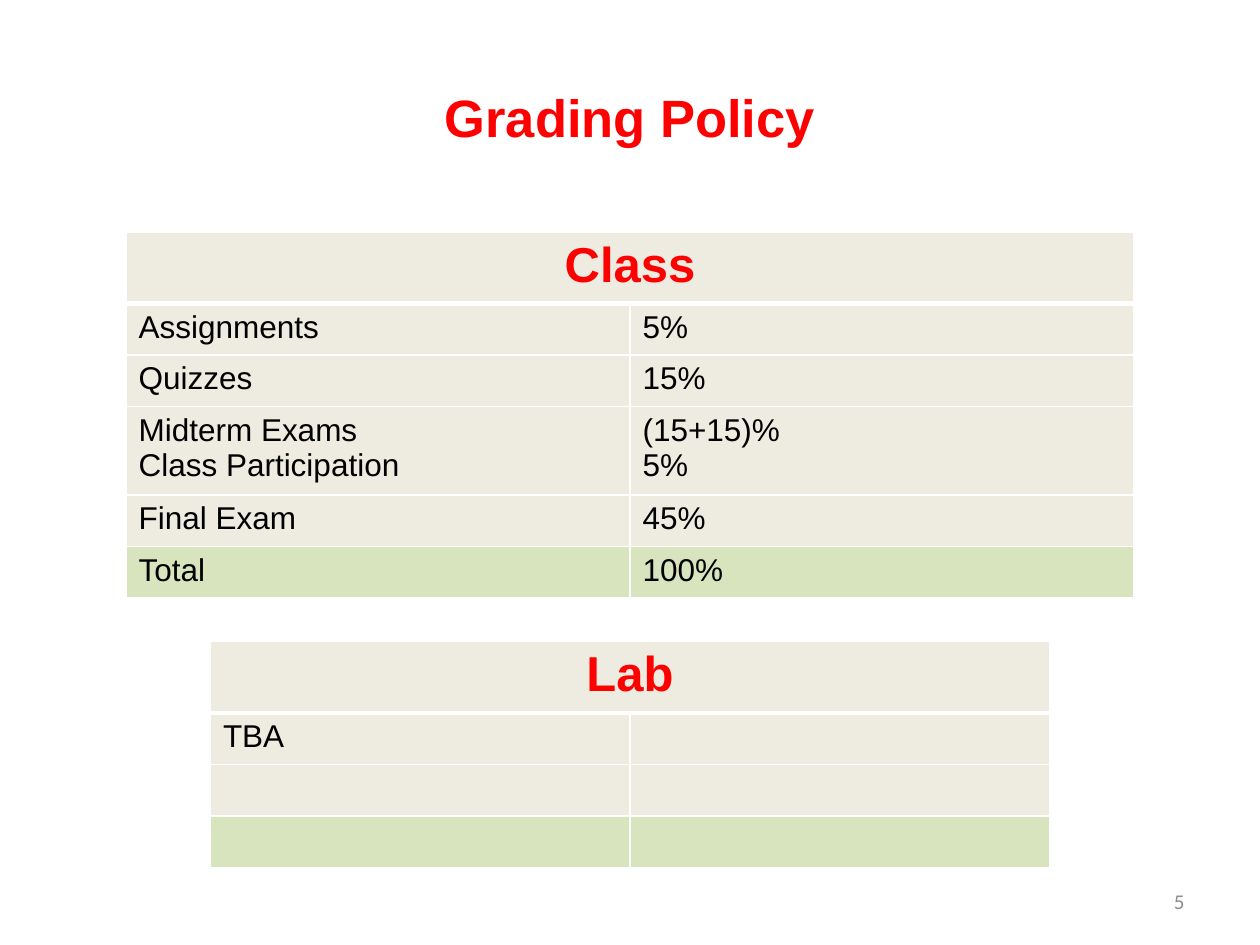
from dataclasses import dataclass

from lxml.etree import SubElement
from pptx import Presentation
from pptx.dml.color import RGBColor
from pptx.enum.text import MSO_ANCHOR, PP_ALIGN
from pptx.oxml.ns import qn
from pptx.util import Inches, Pt


@dataclass(frozen=True)
class Theme:
    red: str = "FF0000"
    black: str = "000000"
    grey: str = "8C8C8C"
    white: str = "FFFFFF"
    cream: str = "EEECE1"
    green: str = "D7E4BD"
    font: str = "Arial"
    number_font: str = "Calibri"
    title: int = 30
    heading: int = 28
    body: int = 18
    number: int = 12
    rule: int = 1
    heading_rule: int = 3


THEME = Theme()
HEADING_HEIGHT, LINE_HEIGHT, EXTRA_LINE = 0.53, 0.41, 0.25

TITLE = "Grading Policy"
PAGE_NUMBER = "5"
TABLES = [
    {
        "heading": "Class", "left": 1, "top": 1.84, "width": 8,
        "rows": [
            ("Assignments", "5%"),
            ("Quizzes", "15%"),
            ("Midterm Exams\nClass Participation", "(15+15)%\n5%"),
            ("Final Exam", "45%"),
            ("Total", "100%"),
        ],
    },
    {
        "heading": "Lab", "left": 1.67, "top": 5.09, "width": 6.66,
        "rows": [("TBA", ""), ("", ""), ("", "")],
    },
]


def write(frame, text, size, color, font=THEME.font, bold=False, align=PP_ALIGN.LEFT):
    frame.text = text
    for para in frame.paragraphs:
        para.alignment = align
        para.font.name = font
        para.font.size = Pt(size)
        para.font.bold = bold
        para.font.color.rgb = RGBColor.from_string(color)


def add_text(page, left, top, width, height, text, size, color, **style):
    box = page.shapes.add_textbox(Inches(left), Inches(top), Inches(width), Inches(height))
    box.text_frame.word_wrap = True
    box.text_frame.vertical_anchor = MSO_ANCHOR.MIDDLE
    write(box.text_frame, text, size, color, **style)


def style_cell(cell, fill, top_rule, bottom_rule):
    properties = cell._tc.get_or_add_tcPr()
    rules = {"L": THEME.rule, "R": THEME.rule, "T": top_rule, "B": bottom_rule}
    for side, width in rules.items():
        line = SubElement(properties, qn(f"a:ln{side}"), w=str(Pt(width)))
        SubElement(SubElement(line, qn("a:solidFill")), qn("a:srgbClr"), val=THEME.white)
    cell.fill.solid()
    cell.fill.fore_color.rgb = RGBColor.from_string(fill)


def add_grades(page, heading, left, top, width, rows):
    heights = [HEADING_HEIGHT] + [LINE_HEIGHT + EXTRA_LINE * row[0].count("\n") for row in rows]
    table = page.shapes.add_table(
        len(heights), 2, Inches(left), Inches(top), Inches(width), Inches(sum(heights))
    ).table
    for row, height in zip(table.rows, heights):
        row.height = Inches(height)
    for index, texts in enumerate([(heading, "")] + rows):
        fill = THEME.green if index == len(rows) else THEME.cream
        top_rule = THEME.heading_rule if index == 1 else THEME.rule
        bottom_rule = THEME.heading_rule if index == 0 else THEME.rule
        for cell, text in zip(table.rows[index].cells, texts):
            style_cell(cell, fill, top_rule, bottom_rule)
            write(cell.text_frame, text, THEME.body, THEME.black)
    title_cell = table.cell(0, 0)
    title_cell.merge(table.cell(0, 1))
    write(title_cell.text_frame, heading, THEME.heading, THEME.red,
          bold=True, align=PP_ALIGN.CENTER)


deck = Presentation()
deck.slide_width, deck.slide_height = Inches(10), Inches(7.5)
page = deck.slides.add_slide(deck.slide_layouts[6])

add_text(page, 0.5, 0.3, 9, 1.25, TITLE, THEME.title, THEME.red,
         bold=True, align=PP_ALIGN.CENTER)
for grades in TABLES:
    add_grades(page, **grades)
add_text(page, 7.17, 6.95, 2.33, 0.4, PAGE_NUMBER, THEME.number, THEME.grey,
         font=THEME.number_font, align=PP_ALIGN.RIGHT)

deck.save("out.pptx")
